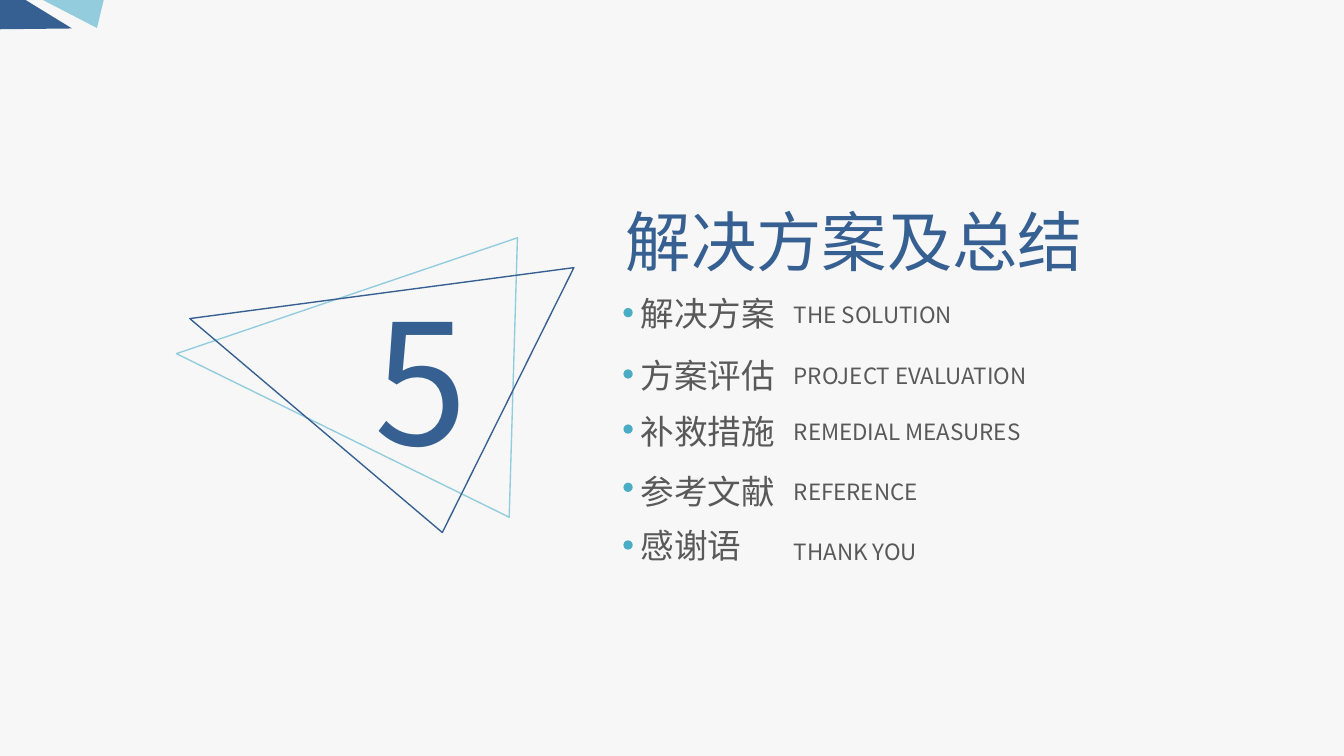
from lxml.etree import SubElement
from pptx import Presentation
from pptx.dml.color import RGBColor
from pptx.enum.shapes import MSO_SHAPE
from pptx.enum.text import MSO_AUTO_SIZE, PP_ALIGN
from pptx.oxml.ns import qn
from pptx.util import Pt

FONT = "Noto Sans CJK SC"
COLORS = {
    "background": "F7F7F7",
    "navy": "376092",
    "sky": "93CDDD",
    "dot": "4BACC6",
    "text": "595959",
}

# Heading, translation, heading width, translation width,
# then tops of heading, translation and dot within the list.
TOPICS = [
    ("解决方案", "THE SOLUTION", 87, 103, 0, 4.2, 11.5),
    ("方案评估", "PROJECT EVALUATION", 87, 145, 33, 36.7, 44.4),
    ("补救措施", "REMEDIAL MEASURES", 87, 143, 63.2, 67, 73.9),
    ("参考文献", "REFERENCE", 87, 81.5, 95, 99.2, 105.1),
    ("感谢语", "THANK YOU", 69, 86.5, 124.2, 131, 136),
]


def rgb(name):
    return RGBColor.from_string(COLORS[name])


def add_text(slide, text, left, top, width, height, size, color, align=PP_ALIGN.LEFT):
    box = slide.shapes.add_textbox(Pt(left), Pt(top), Pt(width), Pt(height))
    tf = box.text_frame
    tf.word_wrap = False
    tf.auto_size = MSO_AUTO_SIZE.SHAPE_TO_FIT_TEXT
    tf.text = text
    p = tf.paragraphs[0]
    p.alignment = align
    r = p.runs[0]
    r.font.size = Pt(size)
    r.font.name = FONT
    r.font.color.rgb = rgb(color)
    SubElement(r.font._element, qn("a:ea"), typeface=FONT)


def add_polygon(slide, left, top, points, fill=None, line=None):
    """Draw a closed outline whose points are relative to left and top."""
    corners = [(Pt(left + x), Pt(top + y)) for x, y in points]
    builder = slide.shapes.build_freeform(*corners[0])
    builder.add_line_segments(corners[1:], close=True)
    s = builder.convert_to_shape()
    s.shadow.inherit = False
    if fill:
        s.fill.solid()
        s.fill.fore_color.rgb = rgb(fill)
    else:
        s.fill.background()
    if line:
        s.line.color.rgb = rgb(line)
        s.line.width = Pt(0.75)
    else:
        s.line.fill.background()


def add_corner(slide, left, top):
    add_polygon(slide, left, top, [(23, 0), (52, 15), (55.6, 0)], fill="sky")
    add_polygon(slide, left, top, [(38.6, 15.3), (13.7, 0), (0, 0), (0, 15.7)], fill="navy")


def add_number(slide, number, left, top):
    """Draw the section number inside two crossing triangles."""
    add_polygon(slide, left, top, [(182.7, 0), (0, 62.1), (178.3, 149.7)], line="sky")
    add_polygon(slide, left, top, [(7.2, 43.3), (213, 16), (142.5, 157.9)], line="navy")
    add_text(slide, number, left + 99.2, top + 18, 67.7, 116.6, 90, "navy")


def add_topics(slide, left, top):
    for heading, english, width, english_width, y, english_y, dot_y in TOPICS:
        add_text(slide, heading, left + 2.2, top + y, width, 29, 18, "text")
        add_text(slide, english, left + 84.2, top + english_y, english_width, 21.8, 12, "text")
        dot = slide.shapes.add_shape(
            MSO_SHAPE.OVAL, Pt(left), Pt(top + dot_y), Pt(5), Pt(5))
        dot.shadow.inherit = False
        dot.fill.solid()
        dot.fill.fore_color.rgb = rgb("dot")
        dot.line.fill.background()


def main():
    prs = Presentation()
    prs.slide_width, prs.slide_height = Pt(720), Pt(405)
    slide = prs.slides.add_slide(prs.slide_layouts[6])
    slide.background.fill.solid()
    slide.background.fill.fore_color.rgb = rgb("background")

    add_text(slide, "解决方案及总结", 326.9, 104.4, 262, 49.7, 35, "navy", PP_ALIGN.CENTER)
    add_topics(slide, 334, 153.5)
    add_number(slide, "5", 94.5, 127.4)
    add_corner(slide, 0, 0)
    prs.save("out.pptx")


if __name__ == "__main__":
    main()
